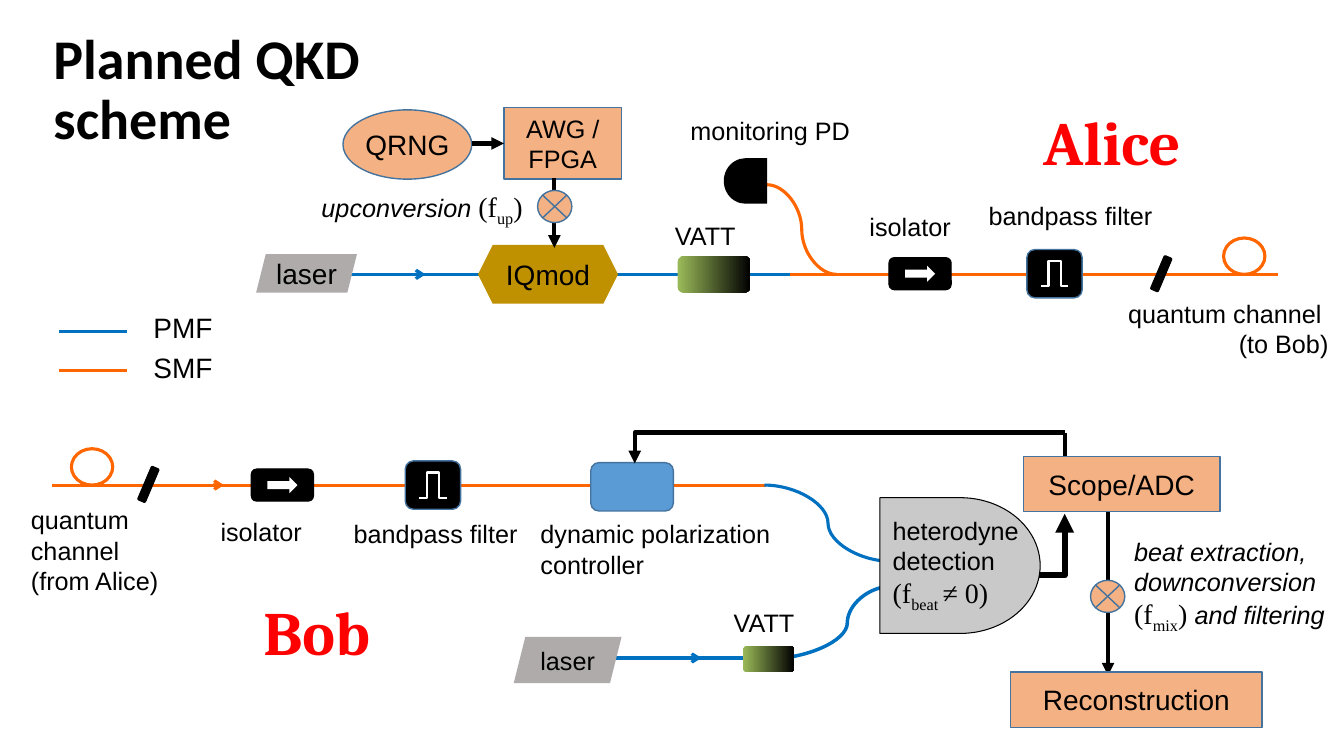
from lxml import etree
from pptx import Presentation
from pptx.dml import color as dml
from pptx.enum import shapes as kinds, text as txt
from pptx.oxml import ns
from pptx.util import Pt

BLACK = dml.RGBColor(0x00, 0x00, 0x00)
WHITE = dml.RGBColor(0xFF, 0xFF, 0xFF)
RED = dml.RGBColor(0xFF, 0x00, 0x00)
PMF_BLUE = dml.RGBColor(0x00, 0x70, 0xC0)
SMF_ORANGE = dml.RGBColor(0xFF, 0x66, 0x00)
DEVICE_ORANGE = dml.RGBColor(0xF4, 0xB1, 0x83)
EDGE_BLUE = dml.RGBColor(0x43, 0x73, 0x9E)
CONTROLLER_BLUE = dml.RGBColor(0x5B, 0x9B, 0xD5)
LASER_GREY = dml.RGBColor(0xAF, 0xAB, 0xAB)
DETECTOR_GREY = dml.RGBColor(0xC9, 0xC9, 0xC9)
MODULATOR_GOLD = dml.RGBColor(0xBF, 0x90, 0x00)
VATT_GREEN = dml.RGBColor(0x9B, 0xBB, 0x59)

BODY = {"name": "Arial", "size": Pt(18), "bold": False, "italic": False}
LARGE = {"size": Pt(20)}
ITALIC = {"italic": True}
FORMULA = {"name": "Times New Roman", "size": Pt(20)}
PARTY = {"name": "Cambria", "size": Pt(44), "bold": True}
HEADING = {"name": "Calibri", "size": Pt(40), "bold": True}

PRESET = kinds.MSO_SHAPE
LEFT, CENTER, RIGHT = txt.PP_ALIGN.LEFT, txt.PP_ALIGN.CENTER, txt.PP_ALIGN.RIGHT
STRAIGHT = kinds.MSO_CONNECTOR.STRAIGHT
ELBOW = kinds.MSO_CONNECTOR.ELBOW
CURVE = kinds.MSO_CONNECTOR.CURVE


def apply_format(target, values):
    for attribute, value in values.items():
        setattr(target, attribute, value)


def formula(symbol, index, closing):
    return [(symbol, FORMULA, 0), (index, FORMULA, -25), (closing, FORMULA, 0)]


def write(frame, paragraphs, align, style, ink=BLACK, gap=0):
    for number, pieces in enumerate(paragraphs):
        line = frame.paragraphs[0] if number == 0 else frame.add_paragraph()
        line.alignment = align
        if number and gap:
            line.space_before = Pt(gap)
        if isinstance(pieces, str):
            pieces = [(pieces, {}, 0)]
        for words, changes, baseline in pieces:
            run = line.add_run()
            run.text = words
            apply_format(run.font, {**BODY, **style, **changes})
            run.font.color.rgb = ink
            if baseline:
                run._r.get_or_add_rPr().set("baseline", str(baseline * 1000))


class Region:
    def __init__(self, slide, left, top):
        self.shapes, self.left, self.top = slide.shapes, left, top

    def place(self, x, y):
        return Pt(self.left + x), Pt(self.top + y)

    def label(self, x, y, width, height, paragraphs, align=LEFT, style={}, ink=BLACK, gap=0):
        box = self.shapes.add_textbox(*self.place(x, y), Pt(width), Pt(height))
        box.text_frame.word_wrap = True
        write(box.text_frame, paragraphs, align, style, ink, gap)

    def block(self, preset, x, y, width, height, fill=None, edge=None, weight=1, words=(), style=LARGE):
        part = self.shapes.add_shape(preset, *self.place(x, y), Pt(width), Pt(height))
        part.shadow.inherit = False
        if fill is None:
            part.fill.background()
        else:
            part.fill.solid()
            part.fill.fore_color.rgb = fill
        if edge is None:
            part.line.fill.background()
        else:
            part.line.color.rgb = edge
            part.line.width = Pt(weight)
        if words:
            margins = dict.fromkeys(("margin_left", "margin_right", "margin_top", "margin_bottom"), 0)
            apply_format(part.text_frame, {**margins, "word_wrap": False})
            write(part.text_frame, words, CENTER, style)
        return part

    def link(self, kind, start, end, ink, weight=2.25, tip=None, preset=None, bend=None):
        path = self.shapes.add_connector(kind, *self.place(*start), *self.place(*end))
        path.line.color.rgb = ink
        path.line.width = Pt(weight)
        properties = path._element.spPr
        if tip:
            etree.SubElement(properties.find(ns.qn("a:ln")), ns.qn("a:tailEnd"), type=tip)
        etree.SubElement(properties, ns.qn("a:effectLst"))
        geometry = properties.find(ns.qn("a:prstGeom"))
        if preset:
            geometry.set("prst", preset)
        if bend:
            guides = geometry.find(ns.qn("a:avLst"))
            etree.SubElement(guides, ns.qn("a:gd"), name="adj1", fmla=f"val {bend}")
        return path

    def fibre(self, x1, x2, y, ink, tip=None):
        self.link(STRAIGHT, (x1, y), (x2, y), ink, tip=tip)

    def isolator(self, x, y):
        self.block(PRESET.ROUNDED_RECTANGLE, x, y - 11.5, 44.5, 23, BLACK, BLACK, 0.75)
        self.block(PRESET.RIGHT_ARROW, x + 11.5, y - 5.75, 21.5, 11.5, WHITE)

    def bandpass(self, x, y):
        self.block(PRESET.ROUNDED_RECTANGLE, x, y - 17.25, 39.5, 34.5, BLACK, EDGE_BLUE)
        self.link(ELBOW, (x + 10, y + 9), (x + 21, y - 9), WHITE, 1.5)
        self.link(ELBOW, (x + 20, y - 9), (x + 29.5, y + 9), WHITE, 1.5, bend=46500)

    def laser(self, x, y, width, height, style):
        self.block(PRESET.PARALLELOGRAM, x, y, width, height, LASER_GREY, words=["laser"], style=style)

    def attenuator(self, x, y, width, height):
        body = self.block(PRESET.ROUNDED_RECTANGLE, x, y, width, height, BLACK)
        body.fill.gradient()
        body.fill.gradient_angle = 0
        for stop, tone, position in zip(body.fill.gradient_stops, (VATT_GREEN, BLACK), (0, 1)):
            stop.color.rgb = tone
            stop.position = position

    def mixer(self, x, y):
        self.block(PRESET.FLOWCHART_SUMMING_JUNCTION, x, y, 24.5, 23, DEVICE_ORANGE, EDGE_BLUE)

    def channel(self, coil_x, slit_x, y):
        self.block(PRESET.OVAL, coil_x, y - 26, 29.5, 26, edge=SMF_ORANGE, weight=2.25)
        slit = self.block(PRESET.ROUNDED_RECTANGLE, slit_x, y - 3.5, 26, 6, BLACK, BLACK, 0.75)
        slit.rotation = 293


def heading(slide, left, top, width, height):
    title = slide.shapes.title
    apply_format(title, {"left": Pt(left), "top": Pt(top), "width": Pt(width), "height": Pt(height)})
    frame = title.text_frame
    frame.text = "Planned QKD \vscheme"
    apply_format(frame, {"vertical_anchor": txt.MSO_ANCHOR.MIDDLE, "auto_size": txt.MSO_AUTO_SIZE.NONE})
    apply_format(frame.paragraphs[0], {"alignment": LEFT, "line_spacing": 0.9})
    for run in frame.paragraphs[0].runs:
        apply_format(run.font, HEADING)
        run.font.color.rgb = BLACK


def legend(slide, left, top):
    key = Region(slide, left, top)
    for y, ink in ((18.5, PMF_BLUE), (46.5, SMF_ORANGE)):
        key.fibre(0, 48, y, ink)
    key.label(60, 0, 92, 65.5, ["PMF", "SMF"], style=LARGE, gap=5)


def alice(slide, left, top):
    sender = Region(slide, left, top)
    axis = 126
    sender.fibre(384.5, 733, axis, SMF_ORANGE)
    sender.fibre(53, 384.5, axis, PMF_BLUE)
    sender.fibre(102, 124, axis, PMF_BLUE, "arrow")
    sender.label(519, 69.5, 140, 31.5, ["bandpass filter"])
    sender.isolator(455, axis - 0.5)
    sender.bandpass(553.5, axis - 0.5)
    sender.laser(3, 111.5, 72, 27.5, LARGE)
    sender.link(CURVE, (417.5, axis), (368, 62), SMF_ORANGE)
    sender.block(PRESET.FLOWCHART_DELAY, 337, 43, 31, 32.5, BLACK).rotation = 180
    sender.block(PRESET.HEXAGON, 161.5, 105, 100, 42, MODULATOR_GOLD, words=["IQmod"])
    sender.label(434, 77.5, 92, 31, ["isolator"])
    sender.label(306, 9, 135, 31, ["monitoring PD"])
    sender.label(609, 139.5, 167, 62, ["quantum channel ", "(to Bob)"], RIGHT)
    generator = sender.block(PRESET.RECTANGLE, 180, 7, 84, 51, DEVICE_ORANGE, EDGE_BLUE,
                             words=["AWG /", "FPGA"], style={})
    sender.link(STRAIGHT, (216, 57.5), (216, 107), BLACK, 3, "triangle")
    sender.attenuator(304, 113, 52, 26)
    sender.label(295, 83.5, 70, 33, ["VATT"])
    sender.block(PRESET.OVAL, 65, 8.5, 92, 49.5, DEVICE_ORANGE, EDGE_BLUE, words=["QRNG"])
    sender.link(STRAIGHT, (157, 32.5), (180, 32.5), BLACK, 3, "triangle").end_connect(generator, 1)
    sender.channel(694, 636.5, axis)
    sender.label(38, 62, 167, 31.5, [[("upconversion ", ITALIC, 0)] + formula("(f", "up", ")")], CENTER)
    sender.mixer(204, 66)
    sender.label(558, 1, 125, 60.5, ["Alice"], style=PARTY, ink=RED)


def bob(slide, left, top):
    receiver = Region(slide, left, top)
    axis, local_axis = 41.5, 165
    receiver.label(788, 74.5, 157, 76, [
        [("beat extraction,", ITALIC, 0)],
        [("downconversion ", ITALIC, 0)],
        formula("(f", "mix", ") ") + [("and filtering", ITALIC, 0)]])
    receiver.link(ELBOW, (714.5, 106), (745.5, 62), BLACK, 4.5, "triangle", "bentConnector2")
    receiver.fibre(412.5, 539.5, local_axis, PMF_BLUE)
    receiver.fibre(22.5, 532, axis, SMF_ORANGE)
    receiver.link(CURVE, (622, 96), (531, axis), PMF_BLUE)
    receiver.link(CURVE, (531, 166), (621, 114), PMF_BLUE, 2.5, bend=65800)
    receiver.block(PRESET.FLOWCHART_DELAY, 613.5, 50.5, 114.5, 97, DETECTOR_GREY, BLACK, 0.75)
    receiver.laser(352, 150, 77, 33, {})
    receiver.attenuator(515.5, 156.5, 37, 18.5)
    receiver.label(364, 62, 188, 55, ["dynamic polarization", "controller"])
    receiver.label(135.5, 60, 92, 31, ["isolator"])
    receiver.isolator(164.5, axis)
    receiver.label(0, 52, 112, 75, ["quantum", "channel", "(from Alice)"])
    receiver.bandpass(274.5, axis)
    receiver.label(230.5, 61.5, 140, 29, ["bandpass filter"])
    receiver.label(615.5, 59.5, 130.5, 85, ["heterodyne detection", formula("(f", "beat ", "≠ 0)")])
    receiver.block(PRESET.ROUNDED_RECTANGLE, 407, 25.5, 59, 34.5, CONTROLLER_BLUE, EDGE_BLUE)
    receiver.fibre(123, 145, axis, SMF_ORANGE, "arrow")
    receiver.fibre(464.5, 486, local_axis, PMF_BLUE, "arrow")
    receiver.label(502, 125.5, 70, 33, ["VATT"])
    receiver.link(STRAIGHT, (776.5, 48), (776.5, 177.5), BLACK, 3, "triangle")
    for x, y, width, words in ((716, 21, 140.5, "Scope/ADC"), (707, 175, 179.5, "Reconstruction")):
        receiver.block(PRESET.RECTANGLE, x, y, width, 39.5, DEVICE_ORANGE, EDGE_BLUE, words=[words])
    receiver.channel(36, 78, axis)
    receiver.mixer(764, 109.5)
    receiver.link(ELBOW, (745.5, 4), (438.5, 26), BLACK, 3, "triangle", "bentConnector2")
    receiver.link(STRAIGHT, (745.5, 4), (745.5, 21), BLACK, 3)
    receiver.label(166, 115.5, 105, 60.5, ["Bob"], style=PARTY, ink=RED)


def main():
    deck = Presentation()
    apply_format(deck, {"slide_width": Pt(960), "slide_height": Pt(540)})
    scheme = deck.slides.add_slide(deck.slide_layouts[5])
    heading(scheme, 31, 13, 828, 104.5)
    legend(scheme, 42.5, 218)
    alice(scheme, 180, 70)
    bob(scheme, 15, 305)
    deck.save("out.pptx")


if __name__ == "__main__":
    main()
